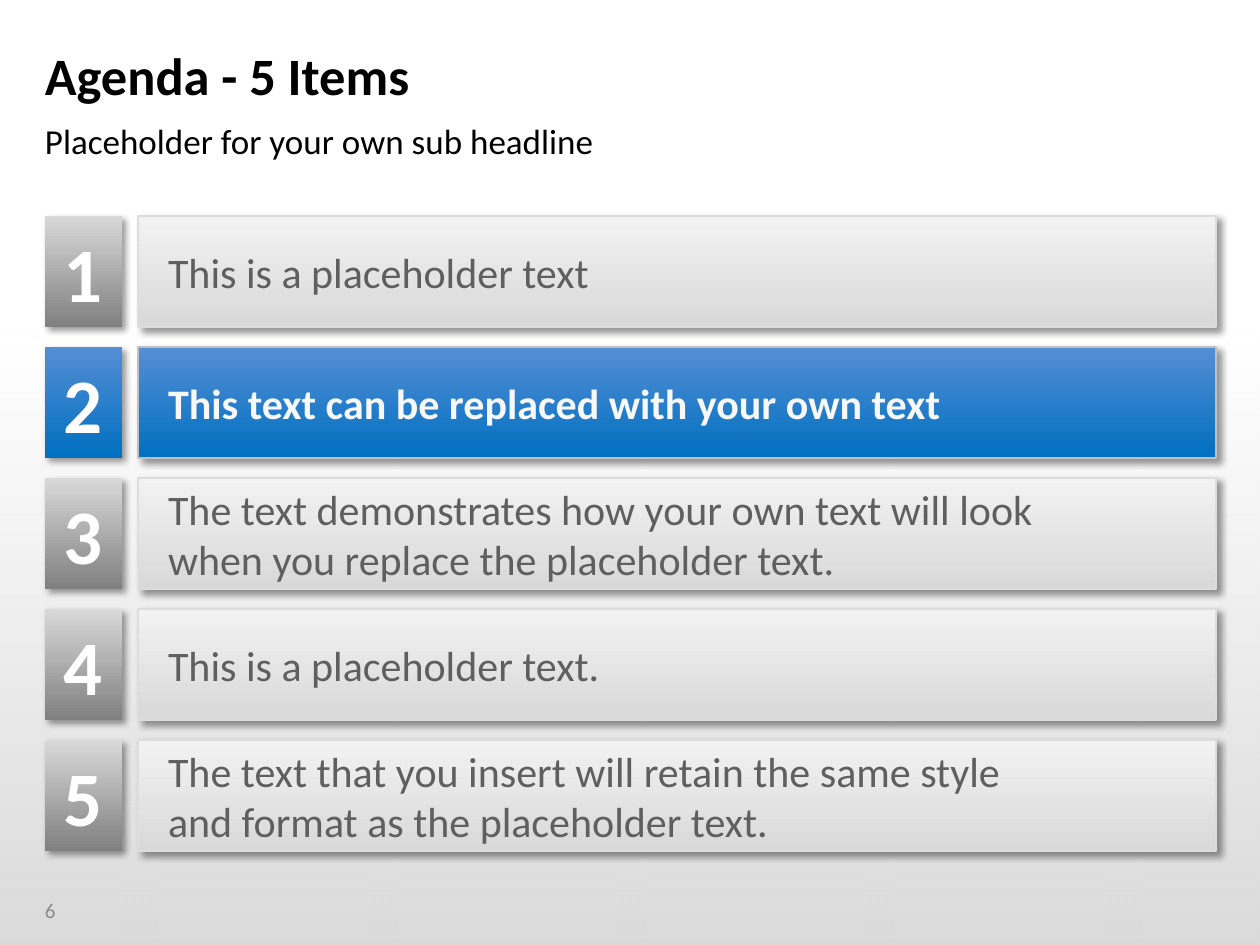
from lxml import etree
from pptx import Presentation
from pptx.dml.color import RGBColor
from pptx.enum.shapes import MSO_SHAPE
from pptx.enum.text import MSO_ANCHOR, PP_ALIGN
from pptx.oxml.ns import qn
from pptx.util import Emu, Pt

RECT = MSO_SHAPE.RECTANGLE
TOP, MIDDLE = MSO_ANCHOR.TOP, MSO_ANCHOR.MIDDLE
LEFT, CENTER = PP_ALIGN.LEFT, PP_ALIGN.CENTER
FONT = "Calibri"

# Content: one list of lines per agenda item
TITLE = "Agenda - 5 Items"
SUBTITLE = "Placeholder for your own sub headline"
PAGE = "6"
ITEMS = [
    ["This is a placeholder text"],
    ["This text can be replaced with your own text"],
    ["The text demonstrates how your own text will look",
     "when you replace the placeholder text."],
    ["This is a placeholder text."],
    ["The text that you insert will retain the same style",
     "and format as the placeholder text."],
]
CURRENT = 2

# Styles
NORMAL = {"number": ("D9D9D9", "808080"), "bar": ("F2F2F2", "D9D9D9"),
          "line": "DDDDDD", "text": "5F5F5F", "bold": False, "inset": 5}
ACTIVE = {"number": ("558ED5", "0070C0"), "bar": ("558ED5", "0070C0"),
          "line": "C0C0C0", "text": "F8F8F8", "bold": True, "inset": 0}

# Grid in px
ROW_TOP, ROW_H, ROW_STEP = 216, 111, 131
NUM_X, NUM_W = 45, 77
BAR_X, BAR_W = 138, 1078


def px(n):
    return Emu(round(n * 914400 / 126))


def rgb(color):
    return RGBColor.from_string(color)


def fill_gradient(s, colors, alphas=None):
    s.fill.gradient()
    s.fill.gradient_angle = 270
    for i, (stop, color) in enumerate(zip(s.fill.gradient_stops, colors)):
        stop.position = i
        stop.color.rgb = rgb(color)
    if alphas:
        for clr, alpha in zip(s._element.spPr.iter(qn("a:srgbClr")), alphas):
            etree.SubElement(clr, qn("a:alpha"), val=str(alpha * 1000))


def add_shadow(s):
    effects = s._element.spPr.find(qn("a:effectLst"))
    shadow = etree.SubElement(
        effects, qn("a:outerShdw"), blurRad=str(Pt(4)), dist=str(Pt(3)),
        dir=str(45 * 60000), algn="tl", rotWithShape="0")
    clr = etree.SubElement(shadow, qn("a:srgbClr"), val="000000")
    etree.SubElement(clr, qn("a:alpha"), val="40000")


def add_rect(shapes, x, y, w, h, colors, line=None, alphas=None):
    s = shapes.add_shape(RECT, px(x), px(y), px(w), px(h))
    s.shadow.inherit = False
    fill_gradient(s, colors, alphas)
    if line:
        s.line.color.rgb = rgb(line)
        s.line.width = Pt(1)
    else:
        s.line.fill.background()
    return s


def write(s, lines, size, color, bold=False, align=LEFT, anchor=MIDDLE,
          insets=(0, 0, 0, 0)):
    tf = s.text_frame
    tf.word_wrap = True
    tf.vertical_anchor = anchor
    (tf.margin_left, tf.margin_top,
     tf.margin_right, tf.margin_bottom) = map(px, insets)
    p = tf.paragraphs[0]
    p.alignment = align
    for i, line in enumerate(lines):
        if i:
            p.add_line_break()
        r = p.add_run()
        r.text = line
        r.font.name = FONT
        r.font.size = Pt(size)
        r.font.bold = bold
        r.font.color.rgb = rgb(color)


def add_label(shapes, x, y, w, h, text, size, color, **style):
    s = shapes.add_textbox(px(x), px(y), px(w), px(h))
    write(s, [text], size, color, **style)


def add_item(shapes, number, lines):
    style = ACTIVE if number == CURRENT else NORMAL
    y = ROW_TOP + (number - 1) * ROW_STEP
    group = shapes.add_group_shape().shapes
    bar = add_rect(group, BAR_X, y, BAR_W, ROW_H, style["bar"], style["line"])
    inset = style["inset"]
    write(bar, lines, 24, style["text"], bold=style["bold"],
          insets=(30, inset, inset, inset))
    box = add_rect(group, NUM_X, y, NUM_W, ROW_H, style["number"])
    write(box, [str(number)], 44, "FFFFFF", bold=True, align=CENTER)
    for s in (bar, box):
        add_shadow(s)


def main():
    prs = Presentation()
    prs.slide_width, prs.slide_height = px(1260), px(945)
    slide = prs.slides.add_slide(prs.slide_layouts[6])
    shapes = slide.shapes
    slide.background.fill.solid()
    slide.background.fill.fore_color.rgb = rgb("FFFFFF")

    # Shade rising from the lower edge
    add_rect(shapes, 0, 326, 1260, 619, ("000000", "000000"), alphas=(0, 15))

    # Headings and page number
    add_label(shapes, 45, 33, 1170, 84, TITLE, 30, "000000", bold=True,
              insets=(0, 6, 13, 6))
    add_label(shapes, 45, 119, 1170, 46, SUBTITLE, 20, "000000", anchor=TOP)
    add_label(shapes, 33, 885, 80, 50, PAGE, 12, "8C8C8C",
              insets=(12, 6, 12, 6))

    # Agenda rows
    for number, lines in enumerate(ITEMS, 1):
        add_item(shapes, number, lines)

    prs.save("out.pptx")


if __name__ == "__main__":
    main()
